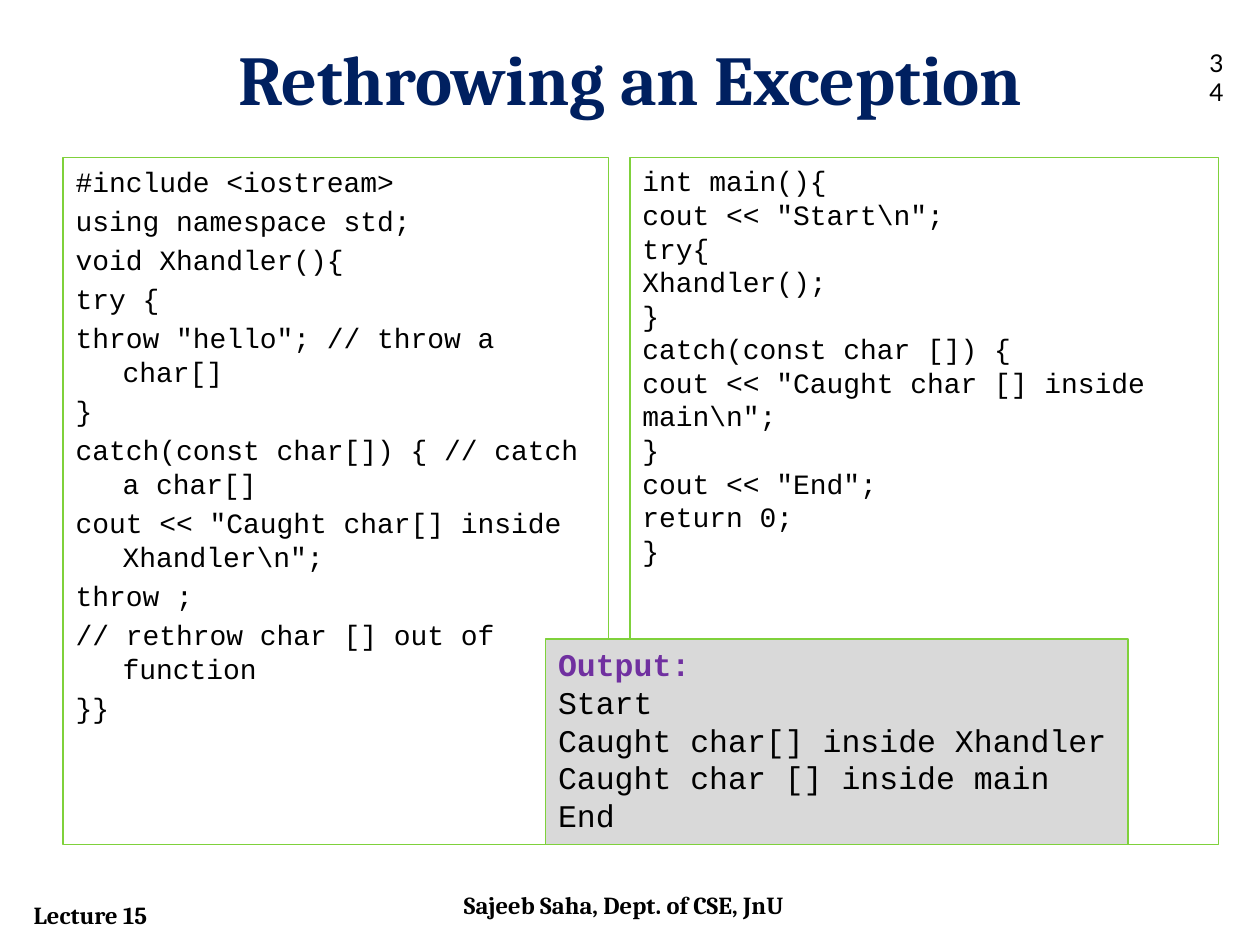
from dataclasses import dataclass

from lxml.etree import SubElement
from pptx import Presentation
from pptx.dml.color import RGBColor
from pptx.enum.shapes import MSO_SHAPE
from pptx.enum.text import MSO_ANCHOR, MSO_AUTO_SIZE, PP_ALIGN
from pptx.oxml.ns import qn
from pptx.util import Cm, Pt

COLORS = {
    "white": "FFFFFF",
    "black": "000000",
    "navy": "002060",
    "purple": "7030A0",
    "green": "7FD13B",
    "gray": "D9D9D9",
}
SERIF, MONO, SANS = "Cambria", "Courier New", "Lato"
PANEL_TOP, PANEL_HEIGHT = 3.18, 13.84
HANGING = 0.95


@dataclass
class Box:
    left: float
    top: float
    width: float
    height: float

    def lengths(self) -> tuple:
        return Cm(self.left), Cm(self.top), Cm(self.width), Cm(self.height)


@dataclass
class Label:
    text: str
    box: Box
    font: str = SERIF
    bold: bool = True


HANDLER_CODE = r"""#include <iostream>
using namespace std;
void Xhandler(){
try {
throw "hello"; // throw a char[]
}
catch(const char[]) { // catch a char[]
cout << "Caught char[] inside Xhandler\n";
throw ;
// rethrow char [] out of function
}}"""

MAIN_CODE = r"""int main(){
cout << "Start\n";
try{
Xhandler();
}
catch(const char []) {
cout << "Caught char [] inside main\n";
}
cout << "End";
return 0;
}"""

OUTPUT = """Output:
Start
Caught char[] inside Xhandler
Caught char [] inside main
End"""

LABELS = [
    Label("Lecture 15", Box(0.43, 18.01, 5.08, 0.86)),
    Label("34", Box(24.13, 0.84, 1.06, 1.02), SANS, False),
    Label("Sajeeb Saha, Dept. of CSE, JnU", Box(9.1, 17.81, 7.2, 1.02)),
]


def rgb(name: str) -> RGBColor:
    return RGBColor.from_string(COLORS[name])


def write(s, text: str, *, font=MONO, size=16, color="black", bold=False,
          align=PP_ALIGN.LEFT, anchor=MSO_ANCHOR.TOP) -> None:
    """Fill a shape with one paragraph for each line of text."""
    tf = s.text_frame
    tf.word_wrap = True
    tf.auto_size = MSO_AUTO_SIZE.NONE
    tf.vertical_anchor = anchor
    for i, line in enumerate(text.split("\n")):
        p = tf.add_paragraph() if i else tf.paragraphs[0]
        p.alignment = align
        r = p.add_run()
        r.text = line
        r.font.name = font
        r.font.size = Pt(size)
        r.font.bold = bold
        r.font.color.rgb = rgb(color)


def place(s, box: Box) -> None:
    s.left, s.top, s.width, s.height = box.lengths()


def outline(s) -> None:
    s.line.color.rgb = rgb("green")
    s.line.width = Pt(0.75)


def hang(p, indent: float) -> None:
    """Drop the bullet and indent the wrapped lines."""
    pPr = p._p.get_or_add_pPr()
    pPr.set("marL", str(Cm(indent)))
    pPr.set("indent", str(-Cm(indent)))
    SubElement(pPr, qn("a:buNone"))


def add_panel(slide, box: Box, fill: str):
    s = slide.shapes.add_shape(MSO_SHAPE.RECTANGLE, *box.lengths())
    s.shadow.inherit = False
    s.fill.solid()
    s.fill.fore_color.rgb = rgb(fill)
    outline(s)
    return s


def add_label(slide, label: Label) -> None:
    s = slide.shapes.add_textbox(*label.box.lengths())
    write(s, label.text, font=label.font, size=14, bold=label.bold)


def main() -> None:
    prs = Presentation()
    prs.slide_width, prs.slide_height = Cm(25.4), Cm(19.05)
    slide = prs.slides.add_slide(prs.slide_layouts[1])
    slide.background.fill.solid()
    slide.background.fill.fore_color.rgb = rgb("white")

    # Title
    title = slide.shapes.title
    place(title, Box(1.27, 0.58, 22.86, 1.96))
    write(title, "Rethrowing an Exception", font=SERIF, size=40, color="navy",
          bold=True, align=PP_ALIGN.CENTER, anchor=MSO_ANCHOR.MIDDLE)

    # Handler code on the left
    body = slide.placeholders[1]
    place(body, Box(1.27, PANEL_TOP, 11, PANEL_HEIGHT))
    outline(body)
    write(body, HANDLER_CODE)
    for p in body.text_frame.paragraphs:
        hang(p, HANGING)

    # Main code on the right
    code = add_panel(slide, Box(12.7, PANEL_TOP, 11.86, PANEL_HEIGHT), "white")
    code.fill.background()
    write(code, MAIN_CODE)

    # Program output, with a highlighted heading
    output = add_panel(slide, Box(11, 12.88, 11.74, 4.14), "gray")
    write(output, OUTPUT, size=18)
    heading = output.text_frame.paragraphs[0].runs[0].font
    heading.bold = True
    heading.color.rgb = rgb("purple")

    # Footer and page number
    for label in LABELS:
        add_label(slide, label)

    prs.save("out.pptx")


if __name__ == "__main__":
    main()
